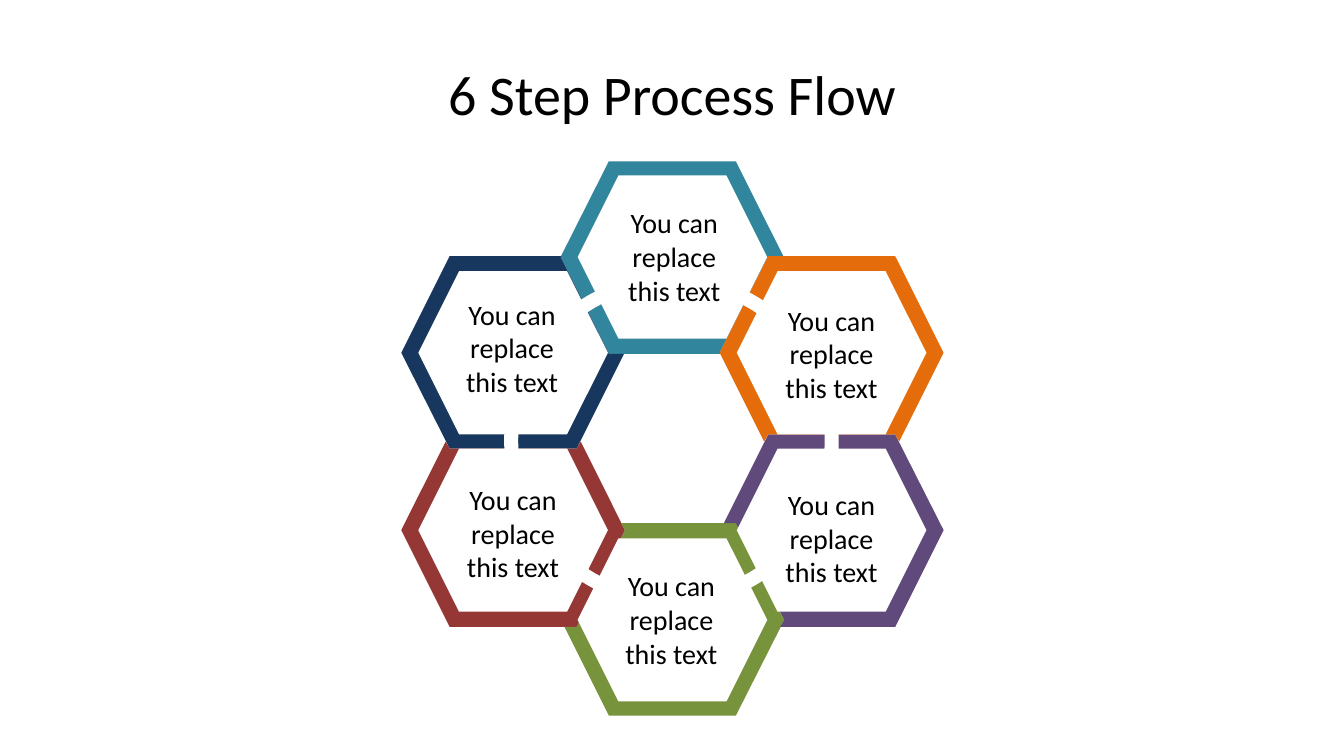
from pptx import Presentation, util as u
from pptx.dml.color import RGBColor
from pptx.enum import shapes, text

FONT = {"name": "Calibri", "bold": False}
STEP_TEXT = "You can replace this text"
HEX_W, HEX_H = 135.4, 116.6
LABEL_W, LABEL_H = 100.8, 80
LEFT, MID, RIGHT = 79.9, 193.7, 307.4  # column centres

# Per step: colour, hexagon centre, label shift, outline (points from diagram corner)
STEPS = [
    ("31859C", (MID, 68.4), (1.4, 0),
     [(148.3, 0), (239, 0), (272.9, 67.7), (262.1, 67.7), (227.5, 136.8),
      (228.2, 137.5), (148.3, 137.5), (113.8, 68.4)]),
    ("17375E", (LEFT, 136.8), (-0.7, -3.2),
     [(34.6, 67.7), (114.5, 67.7), (113.8, 68.4), (148.3, 137.5), (159.1, 137.5),
      (125.3, 205.2), (34.6, 205.2), (0, 136.8)]),
    ("953735", (LEFT, 263.5), (0, 2.5),
     [(31.7, 200.2), (34.6, 205.2), (125.3, 205.2), (128.2, 200.2), (159.8, 263.5),
      (125.3, 332.6), (34.6, 332.6), (0, 263.5)]),
    ("77933C", (MID, 327.6), (-0.7, 0),
     [(157, 258.5), (239, 258.5), (273.6, 327.6), (239, 396), (148.3, 396),
      (116.6, 332.6), (125.3, 332.6), (159.8, 263.5)]),
    ("604A7B", (RIGHT, 263.5), (0, 6),
     [(262.1, 195.1), (352.8, 195.1), (387.4, 263.5), (352.8, 332.6), (270.7, 332.6),
      (273.6, 327.6), (239, 258.5), (230.4, 258.5)]),
    ("E46C0A", (RIGHT, 136.8), (0, 1),
     [(262.1, 67.7), (352.8, 67.7), (387.4, 136.8), (355.7, 200.2), (352.8, 195.1),
      (262.1, 195.1), (259.2, 200.2), (227.5, 136.8)]),
]


def rgb(value):
    return RGBColor.from_string(value)


def paint(sp, color):
    sp.shadow.inherit = False
    sp.fill.solid()
    sp.fill.fore_color.rgb = rgb(color)
    sp.line.fill.background()


def write(sp, words, size, **frame):
    tf = sp.text_frame
    for key, value in {"word_wrap": True, **frame}.items():
        setattr(tf, key, value)
    p = tf.paragraphs[0]
    p.alignment = text.PP_ALIGN.CENTER
    r = p.add_run()
    r.text = words
    for key, value in {**FONT, "size": u.Pt(size)}.items():
        setattr(r.font, key, value)
    r.font.color.rgb = rgb("000000")


def centred(cx, cy, w, h):
    return [u.Pt(v) for v in (cx - w / 2, cy - h / 2, w, h)]


def add_title(s, words, x, y, w, h):
    sp = s.shapes.title
    sp.left, sp.top, sp.width, sp.height = map(u.Pt, (x, y, w, h))
    write(sp, words, 40, vertical_anchor=text.MSO_ANCHOR.MIDDLE)


def add_step_label(s, cx, cy, dx, dy):
    group = s.shapes.add_group_shape().shapes
    paint(group.add_shape(shapes.MSO_SHAPE.HEXAGON, *centred(cx, cy, HEX_W, HEX_H)), "FFFFFF")
    box = group.add_textbox(*centred(cx + dx, cy + dy, LABEL_W, LABEL_H))
    write(box, STEP_TEXT, 20, auto_size=text.MSO_AUTO_SIZE.SHAPE_TO_FIT_TEXT)


def add_flow(s, x, y, w, h):
    # Interlocking coloured hexagons
    for color, _, _, outline in STEPS:
        points = [(u.Pt(x + px), u.Pt(y + py)) for px, py in outline]
        builder = s.shapes.build_freeform(*points[0])
        builder.add_line_segments(points[1:], close=True)
        paint(builder.convert_to_shape(), color)
    # White ring that cuts the gaps between steps
    ring = s.shapes.add_shape(shapes.MSO_SHAPE.DONUT,
                              *centred(x + w / 2 - 0.7, y + h / 2 + 1.4, 239, 239))
    ring.adjustments[0] = 0.042
    paint(ring, "FFFFFF")
    # White centres with their text
    for _, (cx, cy), shift, _ in STEPS:
        add_step_label(s, x + cx, y + cy, *shift)


def main():
    prs = Presentation()
    prs.slide_width, prs.slide_height = u.Pt(960), u.Pt(540)
    s = prs.slides.add_slide(prs.slide_layouts[5])
    add_title(s, "6 Step Process Flow", 48, 21.6, 864, 90)
    add_flow(s, 286.6, 115.2, 387.4, 396)
    prs.save("out.pptx")


if __name__ == "__main__":
    main()
